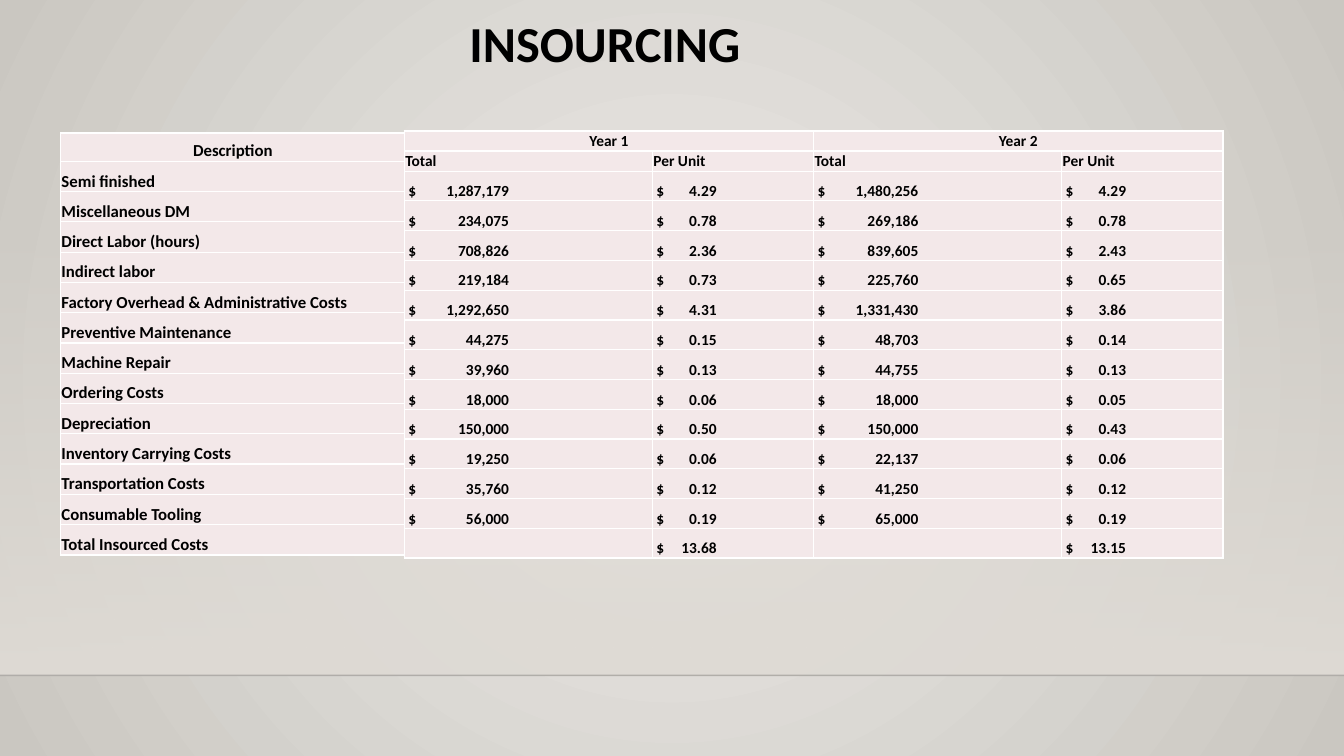
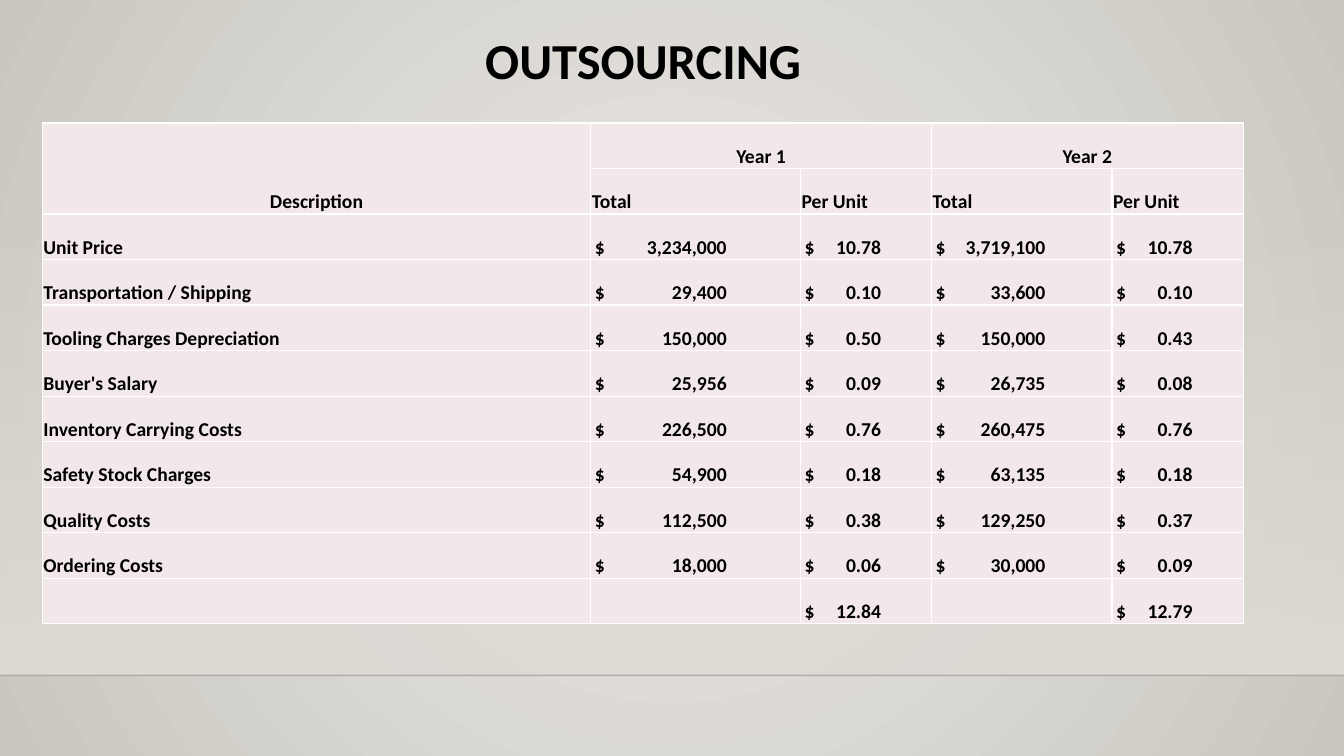
from dataclasses import dataclass

from lxml import etree
from pptx import Presentation
from pptx.dml.color import RGBColor
from pptx.enum.shapes import MSO_CONNECTOR, MSO_SHAPE
from pptx.enum.text import MSO_ANCHOR, MSO_AUTO_SIZE, PP_ALIGN
from pptx.oxml import parse_xml
from pptx.oxml.ns import nsdecls, qn
from pptx.util import Inches, Pt

FONT = "Calibri"
BLACK = "000000"
WHITE = "FFFFFF"
CELL_FILL = "F3E8E9"
BAND = "DFDBD5"
BACK_CENTER, BACK_EDGE = "ECEAE7", "CAC7C1"
FLOOR_LINE = "000001"

SLIDE_W, SLIDE_H = 13.33, 7.5
BAND_TOP, FLOOR = 2.21, 6.7
CELL_INSET, MONEY_INSET = 0.01, 0.04

RADIAL = ('<a:path path="circle"><a:fillToRect l="50000" t="50000" '
          'r="50000" b="50000"/></a:path>')
DOWNWARD = '<a:lin ang="5400000" scaled="0"/>'


@dataclass
class CostTable:
    left: float
    top: float
    col_widths: list[float]
    row_heights: list[float]
    font_size: int
    rows: list[list[str]]
    merges: list[tuple[int, int, int, int]]
    money_tabs: dict[int, float]
    header_rows: int


@dataclass
class CostSlide:
    title: str
    title_left: float
    title_top: float
    tables: list[CostTable]


def rgb(color: str) -> RGBColor:
    return RGBColor.from_string(color)


def set_gradient(parent, stops: list[tuple[str, int]], shade: str) -> None:
    """Replace the solid fill in parent by evenly spaced (colour, opacity %) stops."""
    step = 100000 // (len(stops) - 1)
    gs = "".join(
        f'<a:gs pos="{i * step}"><a:srgbClr val="{color}">'
        f'<a:alpha val="{opacity * 1000}"/></a:srgbClr></a:gs>'
        for i, (color, opacity) in enumerate(stops))
    fill = parse_xml(f'<a:gradFill {nsdecls("a")} rotWithShape="1">'
                     f'<a:gsLst>{gs}</a:gsLst>{shade}</a:gradFill>')
    parent.replace(parent.find(qn("a:solidFill")), fill)


def style_background(prs) -> None:
    master = prs.slide_master
    master.background.fill.solid()
    bg = master.element.find(".//" + qn("p:bgPr"))
    set_gradient(bg, [(BACK_CENTER, 100), (BACK_EDGE, 100)], RADIAL)


def add_backdrop(slide) -> None:
    sp = slide.shapes.add_shape(MSO_SHAPE.RECTANGLE, 0, Inches(BAND_TOP),
                                Inches(SLIDE_W), Inches(FLOOR - BAND_TOP))
    sp.shadow.inherit = False
    sp.line.fill.background()
    sp.fill.solid()
    set_gradient(sp.element.spPr, [(BAND, 0), (BAND, 100)], DOWNWARD)

    line = slide.shapes.add_connector(MSO_CONNECTOR.STRAIGHT, 0, Inches(FLOOR),
                                      Inches(SLIDE_W), Inches(FLOOR))
    line.line.width = Pt(1)
    line.line.color.rgb = rgb(FLOOR_LINE)
    sp_pr = line.element.spPr
    color = sp_pr.find(".//" + qn("a:srgbClr"))
    etree.SubElement(color, qn("a:alpha")).set("val", "20000")
    etree.SubElement(sp_pr, qn("a:effectLst"))


def style_runs(p, size: int) -> None:
    for r in p.runs:
        r.font.name = FONT
        r.font.size = Pt(size)
        r.font.bold = True
        r.font.color.rgb = rgb(BLACK)


def set_title(slide, text: str, left: float, top: float) -> None:
    title = slide.shapes.title
    title.left, title.top = Inches(left), Inches(top)
    title.width, title.height = Inches(10.5), Inches(1.15)
    tf = title.text_frame
    tf.text = text
    tf.word_wrap = True
    tf.auto_size = MSO_AUTO_SIZE.NONE
    tf.vertical_anchor = MSO_ANCHOR.TOP
    p = tf.paragraphs[0]
    p.alignment = PP_ALIGN.CENTER
    p.line_spacing = 0.9
    style_runs(p, 36)


def add_borders(cell) -> None:
    tc_pr = cell._tc.get_or_add_tcPr()
    for i, side in enumerate(("lnL", "lnR", "lnT", "lnB")):
        tc_pr.insert(i, parse_xml(
            f'<a:{side} {nsdecls("a")} w="12700"><a:solidFill>'
            f'<a:srgbClr val="{WHITE}"/></a:solidFill></a:{side}>'))


def add_right_tab(p, position: float) -> None:
    tabs = etree.SubElement(p._p.get_or_add_pPr(), qn("a:tabLst"))
    tab = etree.SubElement(tabs, qn("a:tab"))
    tab.set("pos", str(Inches(position)))
    tab.set("algn", "r")


def fill_cell(cell, text: str, size: int, centered: bool,
              money_tab: float | None) -> None:
    """Write a cell; money_tab is where the amount after the dollar sign ends."""
    cell.fill.solid()
    cell.fill.fore_color.rgb = rgb(CELL_FILL)
    add_borders(cell)
    cell.vertical_anchor = MSO_ANCHOR.BOTTOM
    cell.margin_left = Inches(MONEY_INSET if money_tab else CELL_INSET)
    cell.margin_right = cell.margin_top = Inches(CELL_INSET)
    cell.margin_bottom = 0
    p = cell.text_frame.paragraphs[0]
    if not text:
        p._p.get_or_add_endParaRPr().set("sz", str(size * 100))
        return
    p.text = f"$\t{text}" if money_tab else text
    p.alignment = PP_ALIGN.CENTER if centered else PP_ALIGN.LEFT
    if money_tab:
        add_right_tab(p, money_tab)
    style_runs(p, size)


def add_cost_table(slide, spec: CostTable) -> None:
    frame = slide.shapes.add_table(
        len(spec.rows), len(spec.col_widths), Inches(spec.left), Inches(spec.top),
        Inches(sum(spec.col_widths)), Inches(sum(spec.row_heights)))
    table = frame.table
    table.first_row = table.horz_banding = False
    for column, width in zip(table.columns, spec.col_widths):
        column.width = Inches(width)
    for row, height in zip(table.rows, spec.row_heights):
        row.height = Inches(height)
    for i, texts in enumerate(spec.rows):
        for j, text in enumerate(texts):
            tab = spec.money_tabs.get(j) if i >= spec.header_rows else None
            fill_cell(table.cell(i, j), text, spec.font_size, i == 0, tab)
    for top, left, bottom, right in spec.merges:
        table.cell(top, left).merge(table.cell(bottom, right))


YEARS = ["Year 1", "", "Year 2", ""]
MEASURES = ["Total", "Per Unit"] * 2

INSOURCING_ITEMS = [
    "Semi finished", "Miscellaneous DM", "Direct Labor (hours)", "Indirect labor",
    "Factory Overhead & Administrative Costs", "Preventive Maintenance",
    "Machine Repair", "Ordering Costs", "Depreciation", "Inventory Carrying Costs",
    "Transportation Costs", "Consumable Tooling", "Total Insourced Costs",
]
INSOURCING_COSTS = [
    ["1,287,179", "4.29", "1,480,256", "4.29"],
    ["234,075", "0.78", "269,186", "0.78"],
    ["708,826", "2.36", "839,605", "2.43"],
    ["219,184", "0.73", "225,760", "0.65"],
    ["1,292,650", "4.31", "1,331,430", "3.86"],
    ["44,275", "0.15", "48,703", "0.14"],
    ["39,960", "0.13", "44,755", "0.13"],
    ["18,000", "0.06", "18,000", "0.05"],
    ["150,000", "0.50", "150,000", "0.43"],
    ["19,250", "0.06", "22,137", "0.06"],
    ["35,760", "0.12", "41,250", "0.12"],
    ["56,000", "0.19", "65,000", "0.19"],
    ["", "13.68", "", "13.15"],
]
OUTSOURCING_COSTS = [
    ["Unit Price", "3,234,000", "10.78", "3,719,100", "10.78"],
    ["Transportation / Shipping", "29,400", "0.10", "33,600", "0.10"],
    ["Tooling Charges Depreciation", "150,000", "0.50", "150,000", "0.43"],
    ["Buyer's Salary", "25,956", "0.09", "26,735", "0.08"],
    ["Inventory Carrying Costs", "226,500", "0.76", "260,475", "0.76"],
    ["Safety Stock Charges", "54,900", "0.18", "63,135", "0.18"],
    ["Quality Costs", "112,500", "0.38", "129,250", "0.37"],
    ["Ordering Costs", "18,000", "0.06", "30,000", "0.09"],
    ["", "", "12.84", "", "12.79"],
]

SLIDES = [
    CostSlide("INSOURCING", 0.75, 0.14, [
        CostTable(left=0.6, top=1.32, col_widths=[3.42],
                  row_heights=[0.28] + [3.91 / 13] * 13, font_size=12,
                  rows=[["Description"]] + [[item] for item in INSOURCING_ITEMS],
                  merges=[], money_tabs={}, header_rows=1),
        CostTable(left=4.01, top=1.3, col_widths=[2.46, 1.6] * 2,
                  row_heights=[0.19] * 2 + [3.84 / 13] * 13, font_size=11,
                  rows=[YEARS, MEASURES] + INSOURCING_COSTS,
                  merges=[(0, 0, 0, 1), (0, 2, 0, 3)],
                  money_tabs={0: 1.0, 1: 0.6, 2: 1.0, 3: 0.6}, header_rows=2),
    ]),
    CostSlide("OUTSOURCING", 1.13, 0.31, [
        CostTable(left=0.42, top=1.22, col_widths=[5.44, 2.08, 1.3, 1.79, 1.3],
                  row_heights=[4.97 / 11] * 11, font_size=14,
                  rows=[["Description"] + YEARS, [""] + MEASURES] + OUTSOURCING_COSTS,
                  merges=[(0, 0, 1, 0), (0, 1, 0, 2), (0, 3, 0, 4)],
                  money_tabs={1: 1.31, 2: 0.76, 3: 1.09, 4: 0.76}, header_rows=2),
    ]),
]


def main() -> None:
    prs = Presentation()
    prs.slide_width, prs.slide_height = Inches(SLIDE_W), Inches(SLIDE_H)
    style_background(prs)
    title_only = prs.slide_layouts[5]
    for spec in SLIDES:
        slide = prs.slides.add_slide(title_only)
        add_backdrop(slide)
        set_title(slide, spec.title, spec.title_left, spec.title_top)
        for table in spec.tables:
            add_cost_table(slide, table)
    prs.save("out.pptx")


if __name__ == "__main__":
    main()
